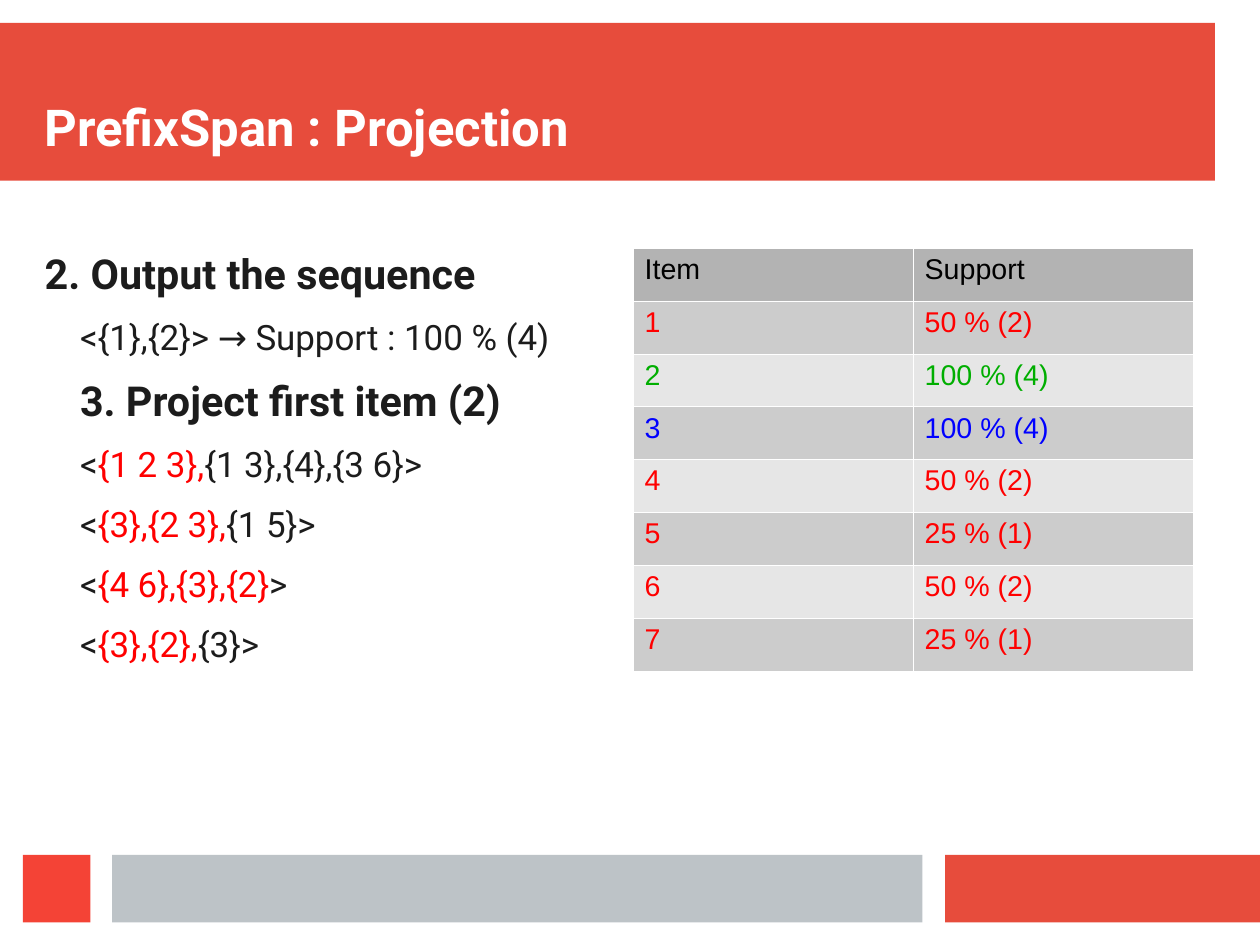
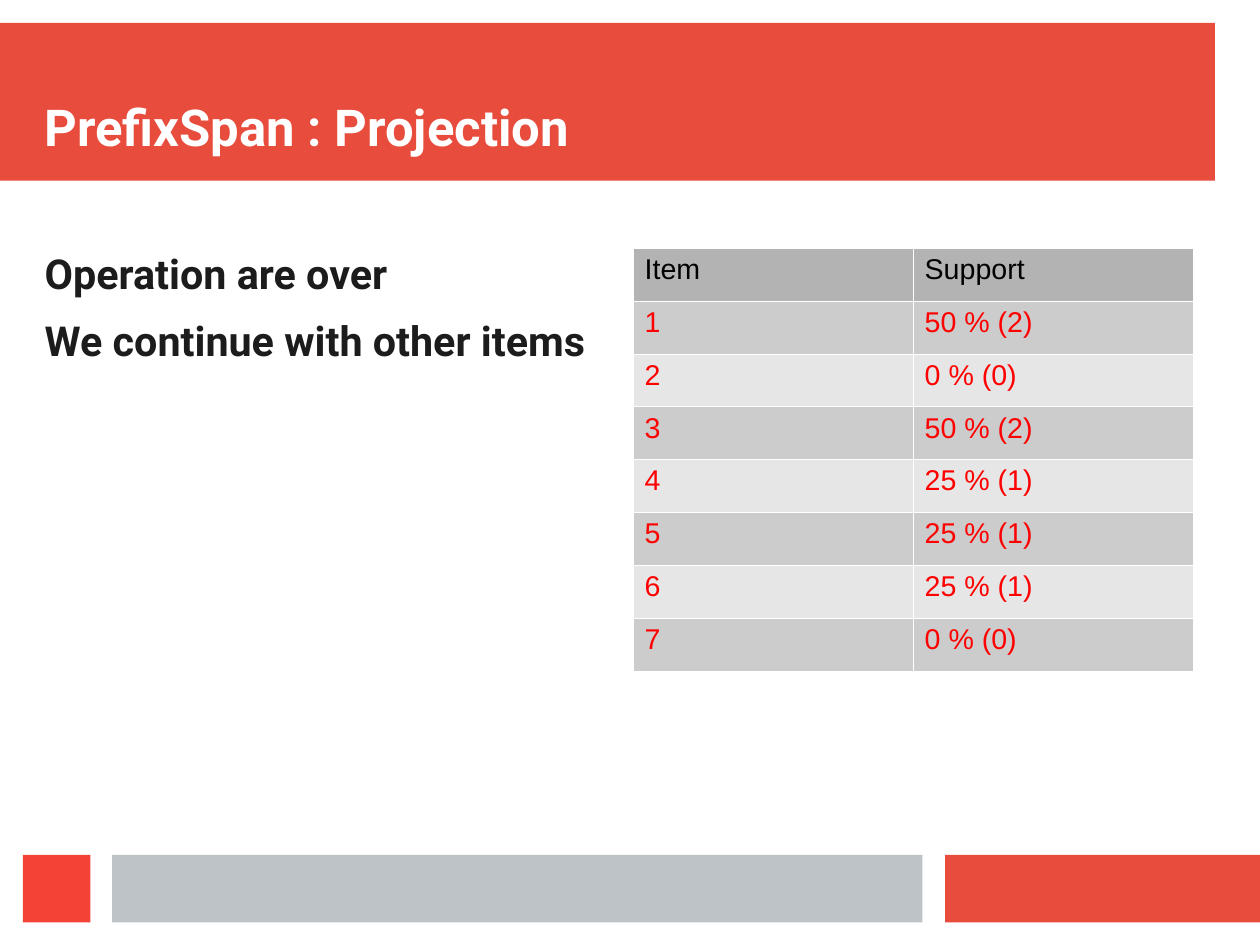
from dataclasses import dataclass

from lxml.etree import SubElement
from pptx import Presentation
from pptx.dml.color import RGBColor
from pptx.enum.shapes import MSO_SHAPE
from pptx.enum.text import MSO_ANCHOR, MSO_AUTO_SIZE, PP_ALIGN
from pptx.oxml.ns import qn
from pptx.shapes.autoshape import Shape
from pptx.slide import Slide, SlideLayout
from pptx.table import _Cell
from pptx.text.text import Font, _Paragraph
from pptx.util import Inches, Pt

CENTIMETRES_PER_INCH = 2.54
SLIDE_WIDTH = Inches(28 / CENTIMETRES_PER_INCH)
SLIDE_HEIGHT = Inches(21 / CENTIMETRES_PER_INCH)
RED = "E74C3C"
BRIGHT_RED = "F44336"
SILVER = "BDC3C7"
WHITE = "FFFFFF"
INK = "1C1C1C"
BLACK = "000000"
REJECTED = "FF0000"
PROJECTED = "00AE00"
FREQUENT = "0000FF"
HEADER_FILL = "B3B3B3"
ROW_FILLS = ("CCCCCC", "E6E6E6")
HEADING_FONT = "Roboto"
TABLE_FONT = "Arial"
TITLE = "PrefixSpan : Projection"


@dataclass(frozen=True)
class Box:
    left: float
    top: float
    width: float
    height: float

    def lengths(self) -> tuple[Inches, Inches, Inches, Inches]:
        return Inches(self.left), Inches(self.top), Inches(self.width), Inches(self.height)


@dataclass(frozen=True)
class Band:
    box: Box
    color: str


@dataclass(frozen=True)
class Span:
    text: str
    color: str = INK


@dataclass(frozen=True)
class Line:
    spans: tuple[Span, ...]
    heading: bool = False
    indent: float = 0.31


@dataclass(frozen=True)
class Support:
    item: str
    value: str
    color: str = REJECTED


@dataclass(frozen=True)
class ProjectionStep:
    lines: tuple[Line, ...]
    supports: tuple[Support, ...]


TITLE_BOX = Box(0.39, 0.39, 10.24, 0.98)
BODY_BOX = Box(0.39, 2.17, 4.9, 5.12)
TABLE_BOX = Box(5.54, 2.17, 4.9, 3.7)
BANDS = (
    Band(Box(0, 0.2, 10.63, 1.38), RED),
    Band(Box(8.27, 7.48, 2.76, 0.59), RED),
    Band(Box(0.98, 7.48, 7.09, 0.59), SILVER),
    Band(Box(0.2, 7.48, 0.59, 0.59), BRIGHT_RED),
)


def heading(text: str, indent: float = 0) -> Line:
    return Line((Span(text),), True, indent)


def sequence(projected: str, remaining: str) -> Line:
    return Line((Span("<"), Span(projected, REJECTED), Span(remaining)))


STEPS = (
    ProjectionStep(
        (
            heading("2. Output the sequence"),
            Line((Span("<{1},{2}> → Support : 100 % (4)"),)),
            heading("3. Project first item (2)", 0.31),
            sequence("{1 2 3},", "{1 3},{4},{3 6}>"),
            sequence("{3},{2 3},", "{1 5}>"),
            sequence("{4 6},{3},{2}", ">"),
            sequence("{3},{2},", "{3}>"),
        ),
        (
            Support("1", "50 % (2)"),
            Support("2", "100 % (4)", PROJECTED),
            Support("3", "100 % (4)", FREQUENT),
            Support("4", "50 % (2)"),
            Support("5", "25 % (1)"),
            Support("6", "50 % (2)"),
            Support("7", "25 % (1)"),
        ),
    ),
    ProjectionStep(
        (heading("Operation are over"), heading("We continue with other items")),
        (
            Support("1", "50 % (2)"),
            Support("2", "0 % (0)"),
            Support("3", "50 % (2)"),
            Support("4", "25 % (1)"),
            Support("5", "25 % (1)"),
            Support("6", "25 % (1)"),
            Support("7", "0 % (0)"),
        ),
    ),
)


def rgb(color: str) -> RGBColor:
    return RGBColor.from_string(color)


def format_font(font: Font, name: str, size: float, color: str, bold: bool = False) -> None:
    font.name = name
    font.size = Pt(size)
    font.bold = bold
    font.color.rgb = rgb(color)


def place(shape: Shape, box: Box, anchor: MSO_ANCHOR) -> None:
    shape.left, shape.top, shape.width, shape.height = box.lengths()
    frame = shape.text_frame
    frame.word_wrap = True
    frame.auto_size = MSO_AUTO_SIZE.NONE
    frame.vertical_anchor = anchor
    frame.margin_left = frame.margin_right = 0
    frame.margin_top = frame.margin_bottom = 0


def add_bands(layout: SlideLayout, slide: Slide) -> None:
    for position, band in enumerate(BANDS, start=2):
        shape = slide.shapes.add_shape(MSO_SHAPE.RECTANGLE, *band.box.lengths())
        shape.shadow.inherit = False
        shape.fill.solid()
        shape.fill.fore_color.rgb = rgb(band.color)
        shape.line.fill.background()
        layout.element.cSld.spTree.insert(position, shape.element)


def write_title(slide: Slide) -> None:
    title = slide.shapes.title
    place(title, TITLE_BOX, MSO_ANCHOR.BOTTOM)
    title.text_frame.text = TITLE
    paragraph = title.text_frame.paragraphs[0]
    paragraph.alignment = PP_ALIGN.LEFT
    format_font(paragraph.runs[0].font, HEADING_FONT, 32, WHITE, True)


def write_line(paragraph: _Paragraph, line: Line) -> None:
    properties = paragraph._p.get_or_add_pPr()
    properties.set("marL", str(Inches(line.indent)))
    properties.set("indent", "0")
    SubElement(properties, qn("a:buNone"))
    paragraph.level = 0 if line.heading else 1
    paragraph.space_before = Pt(0)
    paragraph.space_after = Pt(11.4 if line.heading else 11.3)
    for span in line.spans:
        run = paragraph.add_run()
        run.text = span.text
        format_font(run.font, HEADING_FONT, 26 if line.heading else 22, span.color, line.heading)


def write_body(slide: Slide, lines: tuple[Line, ...]) -> None:
    body = slide.placeholders[1]
    place(body, BODY_BOX, MSO_ANCHOR.TOP)
    frame = body.text_frame
    for index, line in enumerate(lines):
        write_line(frame.add_paragraph() if index else frame.paragraphs[0], line)


def write_cell(cell: _Cell, text: str, color: str, fill: str) -> None:
    properties = cell._tc.get_or_add_tcPr()
    for side in ("L", "R", "T", "B"):
        border = SubElement(properties, qn(f"a:ln{side}"), w=str(Pt(0.06)))
        border_fill = SubElement(border, qn("a:solidFill"))
        SubElement(border_fill, qn("a:srgbClr"), val=WHITE)
    cell.fill.solid()
    cell.fill.fore_color.rgb = rgb(fill)
    cell.text_frame.text = text
    format_font(cell.text_frame.paragraphs[0].runs[0].font, TABLE_FONT, 18, color)


def add_support_table(slide: Slide, supports: tuple[Support, ...]) -> None:
    rows = (Support("Item", "Support", BLACK), *supports)
    table = slide.shapes.add_table(len(rows), 2, *TABLE_BOX.lengths()).table
    table.first_row = False
    table.horz_banding = False
    for index, support in enumerate(rows):
        fill = ROW_FILLS[(index - 1) % 2] if index else HEADER_FILL
        for column, text in enumerate((support.item, support.value)):
            write_cell(table.cell(index, column), text, support.color, fill)


def main() -> None:
    presentation = Presentation()
    presentation.slide_width = SLIDE_WIDTH
    presentation.slide_height = SLIDE_HEIGHT
    layout = presentation.slide_layouts[1]
    for index, step in enumerate(STEPS):
        slide = presentation.slides.add_slide(layout)
        if index == 0:
            add_bands(layout, slide)
        write_title(slide)
        write_body(slide, step.lines)
        add_support_table(slide, step.supports)
    presentation.save("out.pptx")


if __name__ == "__main__":
    main()
